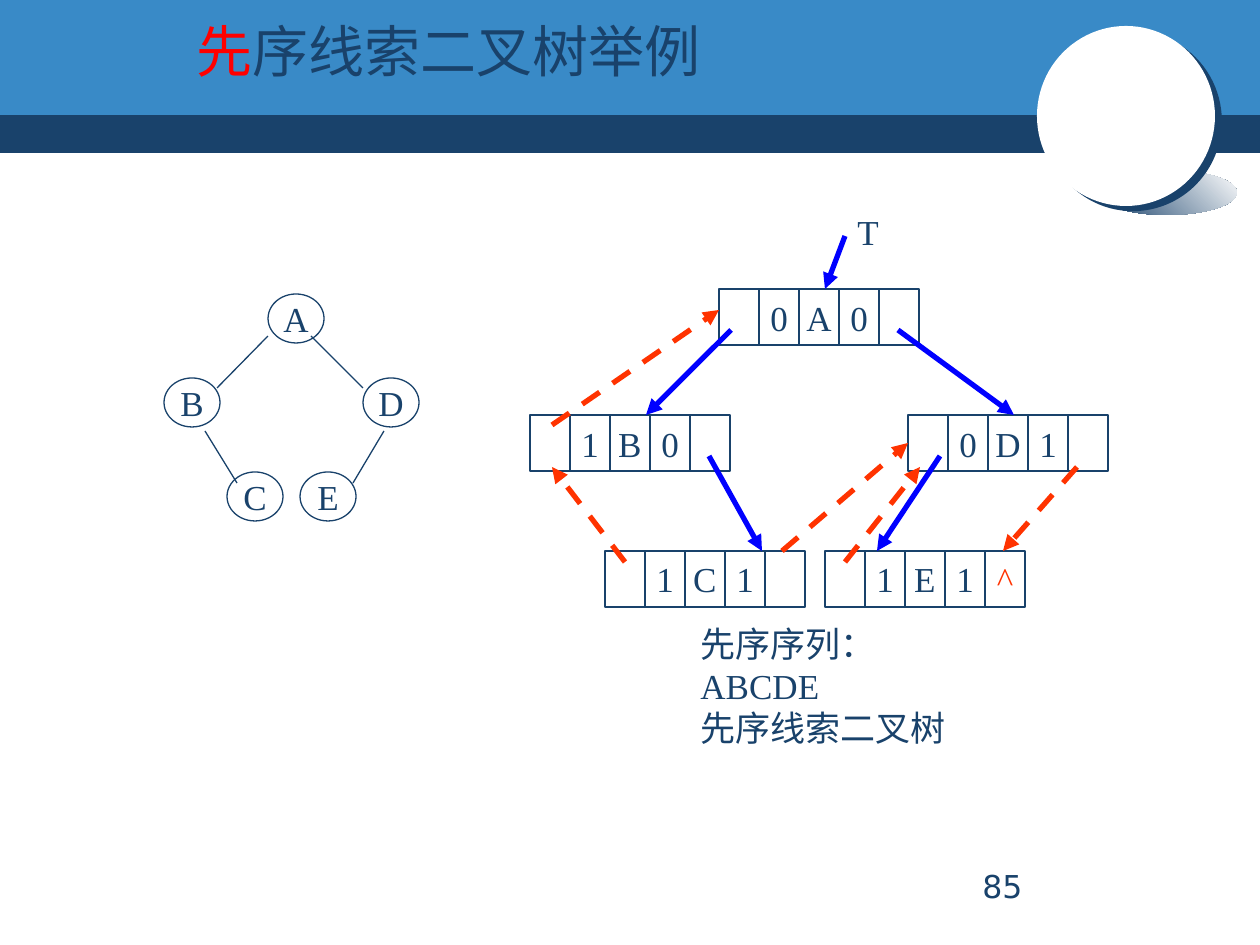
from dataclasses import dataclass

from lxml import etree
from pptx import Presentation
from pptx.dml.color import RGBColor
from pptx.enum.dml import MSO_LINE
from pptx.enum.shapes import MSO_CONNECTOR, MSO_SHAPE
from pptx.enum.text import MSO_ANCHOR, PP_ALIGN
from pptx.oxml.ns import qn
from pptx.util import Pt

RECT, OVAL = MSO_SHAPE.RECTANGLE, MSO_SHAPE.OVAL
STRAIGHT, DASH = MSO_CONNECTOR.STRAIGHT, MSO_LINE.DASH
LEFT, CENTER = PP_ALIGN.LEFT, PP_ALIGN.CENTER
TOP, MIDDLE = MSO_ANCHOR.TOP, MSO_ANCHOR.MIDDLE
SCALE = 914400 / 126  # EMU per px


@dataclass(frozen=True)
class Theme:
    navy: str = "19426B"
    sky: str = "398AC7"
    white: str = "FFFFFF"
    blue: str = "0000FF"
    orange: str = "FF3300"
    red: str = "FF0000"
    serif: str = "Times New Roman"
    sans: str = "Arial"
    plain: str = "DejaVu Sans"
    title: int = 32
    body: int = 20
    page: int = 18
    thin: float = 0.75
    thick: float = 3


THEME = Theme()


def px(*nums):
    return [round(n * SCALE) for n in nums]


def rgb(code):
    return RGBColor.from_string(code)


def style(para, face=THEME.serif, size=THEME.body, color=THEME.navy, align=LEFT):
    para.alignment = align
    para.font.name, para.font.size = face, Pt(size)
    para.font.color.rgb = rgb(color)


def shape(area, kind, box, fill=None, line=None):
    item = area.add_shape(kind, *px(*box))
    item.shadow.inherit = False
    if fill:
        item.fill.solid()
        item.fill.fore_color.rgb = rgb(fill)
    else:
        item.fill.background()
    if line:
        item.line.color.rgb, item.line.width = rgb(line), Pt(THEME.thin)
    else:
        item.line.fill.background()
    return item


def label(item, text):
    frame = item.text_frame
    frame.word_wrap, frame.vertical_anchor = False, MIDDLE
    frame.text = text
    style(frame.paragraphs[0], align=CENTER)


def note(area, box, text, wrap=False, anchor=TOP, **look):
    frame = area.add_textbox(*px(*box)).text_frame
    frame.word_wrap, frame.vertical_anchor = wrap, anchor
    frame.text = text
    for para in frame.paragraphs:
        style(para, **look)
    return frame


def link(area, ends, color=THEME.navy, width=THEME.thin, dash=False, arrow=False):
    item = area.add_connector(STRAIGHT, *px(*ends))
    item.line.color.rgb, item.line.width = rgb(color), Pt(width)
    if dash:
        item.line.dash_style = DASH
    if arrow:
        etree.SubElement(item.line._get_or_add_ln(), qn("a:tailEnd"), type="triangle")
    etree.SubElement(item._element.spPr, qn("a:effectLst"))
    return item


def banner(area, x, y, wide):
    # Bands
    shape(area, RECT, (x, y + 110, wide, 43), THEME.navy)
    shape(area, RECT, (x, y, wide, 115), THEME.sky)
    # Soft ground shadow
    glow = shape(area, OVAL, (x + 1097, y + 170, 140, 45))
    glow.fill.gradient()
    glow.fill.gradient_angle = 45
    for stop, code in zip(glow.fill.gradient_stops, (THEME.navy, THEME.white)):
        stop.color.rgb = rgb(code)
    # Disc with a hard edge shadow
    disc = shape(area, OVAL, (x + 1037, y + 26, 178, 180), THEME.white)
    edge = etree.SubElement(disc._element.spPr.find(qn("a:effectLst")),
                            qn("a:outerShdw"), dist=str(Pt(5)), dir=str(37 * 60000),
                            algn="ctr", rotWithShape="0")
    etree.SubElement(edge, qn("a:srgbClr"), val=THEME.navy)
    # Title, first character in red
    frame = note(area, (x + 184, y + 10, 570, 79), "先", wrap=True, face=THEME.sans,
                 size=THEME.title)
    para = frame.paragraphs[0]
    para.runs[0].font.color.rgb = rgb(THEME.red)
    para.add_run().text = "序线索二叉树举例"


def tree(area, x, y):
    # Nodes
    for name, dx, dy in (("A", 104, 0), ("B", 0, 84), ("C", 63, 178),
                         ("D", 199, 84), ("E", 136, 178)):
        label(shape(area, OVAL, (x + dx, y + dy, 56, 49), line=THEME.navy), name)
    # Edges
    for x1, y1, x2, y2 in ((104, 42, 53, 94), (147, 42, 199, 94),
                           (41, 137, 73, 189), (220, 137, 189, 189)):
        link(area, (x + x1, y + y1, x + x2, y + y2))


def record(area, x, y, name, tags):
    cell, tall = 40, 56
    item = shape(area, RECT, (x, y, 5 * cell, tall), line=THEME.navy)
    label(item, name)
    for col in range(1, 5):
        link(area, (x + col * cell, y, x + col * cell, y + tall - 1))
    for col, (text, color) in tags.items():
        note(area, (x + col * cell - 1, y, 42, tall), text, anchor=MIDDLE,
             color=color, align=CENTER)
    return item


def threads(area, x, y):
    # Records: left tag, right tag, and an empty last link
    nodes = {}
    for name, dx, dy, left, right in (("A", 189, 85, "0", "0"), ("B", 0, 211, "1", "0"),
                                      ("D", 378, 211, "0", "1"), ("C", 75, 347, "1", "1"),
                                      ("E", 295, 347, "1", "1")):
        tags = {1: (left, THEME.navy), 3: (right, THEME.navy)}
        if name == "E":
            tags[4] = ("^", THEME.orange)
        nodes[name] = record(area, x + dx, y + dy, name, tags)
    # Child links
    for x1, y1, x2, y2 in ((315, 32, 295, 85), (201, 126, 116, 211),
                           (368, 126, 484, 211), (179, 252, 232, 347),
                           (410, 252, 347, 347)):
        link(area, (x + x1, y + y1, x + x2, y + y2), THEME.blue, THEME.thick, arrow=True)
    # Thread links
    for x1, y1, x2, y2, goal in ((22, 221, 189, 106, None), (95, 358, 22, 263, None),
                                 (252, 347, 378, 242, "D"), (315, 358, 390, 263, None),
                                 (547, 263, 473, 347, None)):
        item = link(area, (x + x1, y + y1, x + x2, y + y2), THEME.orange, THEME.thick,
                    dash=True, arrow=True)
        if goal:
            item.end_connect(nodes[goal], 1)
    # Root name and sequence
    note(area, (x + 315, y, 47, 54), "T")
    note(area, (x + 158, y + 412, 306, 97), "先序序列：ABCDE\n先序线索二叉树", wrap=True)


def main():
    deck = Presentation()
    deck.slide_width, deck.slide_height = px(1260, 945)
    area = deck.slides.add_slide(deck.slide_layouts[6]).shapes
    banner(area, 0, 0, 1260)
    tree(area.add_group_shape().shapes, 164, 294)
    threads(area.add_group_shape().shapes, 530, 204)
    # Page number
    note(area, (970, 861, 262, 63), "85", wrap=True, face=THEME.plain, size=THEME.page)
    deck.save("out.pptx")


if __name__ == "__main__":
    main()
